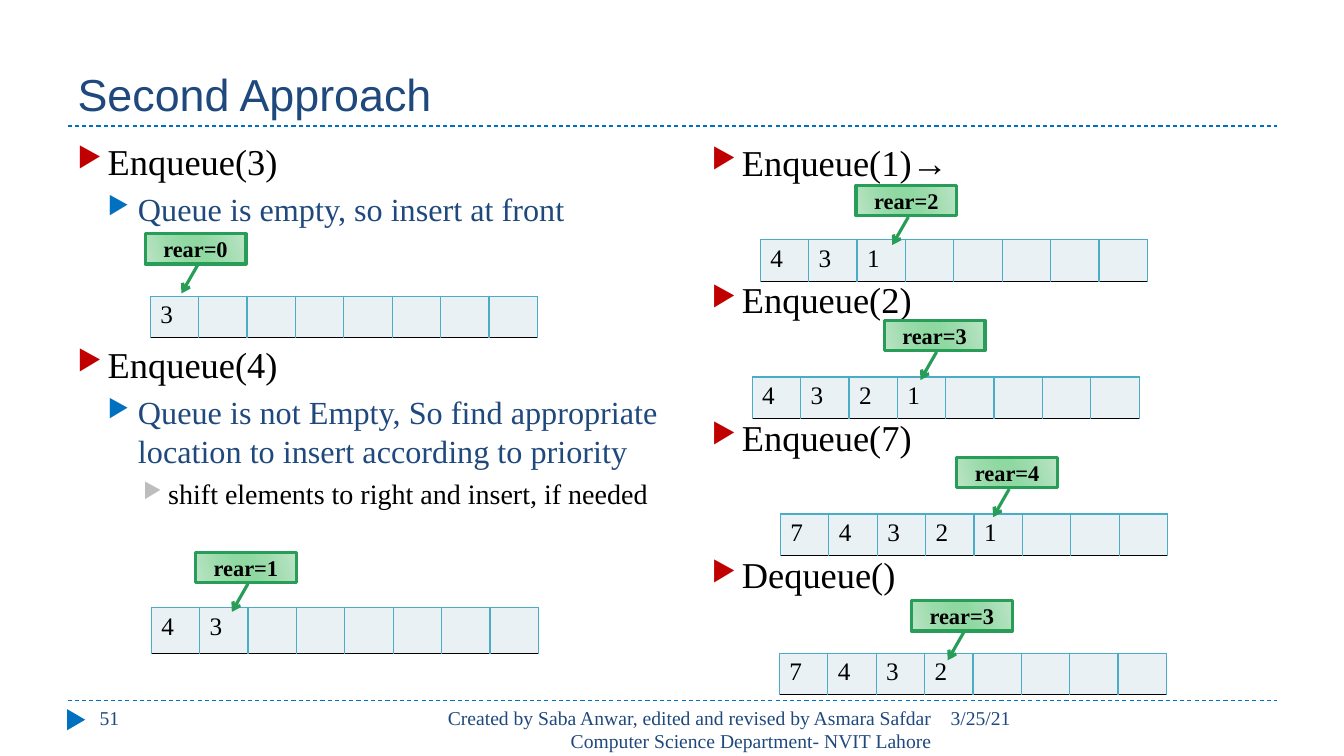
from dataclasses import dataclass

from lxml import etree
from pptx import Presentation
from pptx.dml.color import RGBColor
from pptx.enum.dml import MSO_LINE
from pptx.enum.shapes import MSO_CONNECTOR, MSO_SHAPE
from pptx.enum.text import MSO_ANCHOR, PP_ALIGN
from pptx.oxml import parse_xml
from pptx.oxml.ns import nsdecls, qn
from pptx.util import Pt

PX = 9144  # 100 px to the inch
TITLE_ONLY = 5
CELL_COUNT = 8
CELL_WIDTH = 48


@dataclass(frozen=True)
class Theme:
    heading_font: str = "Arial"
    body_font: str = "Times New Roman"
    navy: str = "1F497D"
    blue: str = "0070C0"
    black: str = "000000"
    cell_fill: str = "E9F1F5"
    cell_line: str = "4BACC6"
    callout_line: str = "279D57"
    callout_stops: tuple = ((0, "BBE4C5"), (30, "9BDBAB"), (45, "8FD8A1"),
                            (55, "8FD8A1"), (73, "9BDBAB"), (100, "BBE4C5"))
    level_sizes: tuple = (26, 23, 20)
    level_colors: tuple = ("000000", "1F497D", "000000")
    bullet_colors: tuple = ("C00000", "0070C0", "BDBDBD")
    level_indents: tuple = ((30, 30), (60, 30), (90, 25))
    title_size: int = 32
    cell_size: int = 18
    callout_size: int = 16
    footer_size: int = 14
    line_height: float = 1.2


THEME = Theme()

# Each outline row: level, space before in points, text
LEFT_OUTLINE = [
    (0, 0, "Enqueue(3)"),
    (1, 5, "Queue is empty, so insert at front"),
    (0, 81, "Enqueue(4)"),
    (1, 5, "Queue is not Empty, So find appropriate location to insert according to priority"),
    (2, 5, "shift elements to right and insert, if needed"),
]
RIGHT_OUTLINE = [
    (0, 0, "Enqueue(1)→"),
    (0, 67, "Enqueue(2)"),
    (0, 67, "Enqueue(7)"),
    (0, 67, "Dequeue()"),
]
# Each queue: offset in its column, row height, values, rear, callout offset from the queue
LEFT_QUEUES = [
    ((82, 161), 41, "3", 0, (-5, -62)),
    ((83, 470), 45, "43", 1, (44, -55)),
]
RIGHT_QUEUES = [
    ((58, 104), 41, "431", 2, (95, -54)),
    ((50, 240), 41, "4321", 3, (131, -56)),
    ((78, 376), 41, "74321", 4, (175, -56)),
    ((77, 514), 41, "7432", 3, (131, -52)),
]


def px(*lengths):
    return [length * PX for length in lengths]


def rgb(color):
    return RGBColor.from_string(color)


def write(paragraph, text, *, size, color=THEME.black, font=THEME.body_font,
          bold=False, align=PP_ALIGN.LEFT, before=0, fixed_line=False):
    paragraph.alignment = align
    paragraph.space_before = Pt(before)
    if fixed_line:
        paragraph.line_spacing = Pt(size * THEME.line_height)
    run = paragraph.add_run()
    run.text = text
    run.font.name = font
    run.font.size = Pt(size)
    run.font.bold = bold
    run.font.color.rgb = rgb(color)


def add_bullet(paragraph, level):
    margin, hanging = px(*THEME.level_indents[level])
    properties = paragraph._p.get_or_add_pPr()
    properties.set("marL", str(margin))
    properties.set("indent", str(-hanging))
    color = etree.SubElement(properties, qn("a:buClr"))
    etree.SubElement(color, qn("a:srgbClr"), val=THEME.bullet_colors[level])
    etree.SubElement(properties, qn("a:buSzPct"), val="76000")
    etree.SubElement(properties, qn("a:buChar"), char="▶")


def text_frame_at(slide, box):
    frame = slide.shapes.add_textbox(*px(*box)).text_frame
    frame.word_wrap = True
    return frame


def add_rule(slide, left, top, width):
    rule = slide.shapes.add_connector(
        MSO_CONNECTOR.STRAIGHT, *px(left, top, left + width, top))
    rule.line.color.rgb = rgb(THEME.blue)
    rule.line.width = Pt(0.75)
    rule.line.dash_style = MSO_LINE.DASH
    etree.SubElement(rule._element.spPr, qn("a:effectLst"))


def add_header(slide, box):
    left, top, width, height = box
    title = slide.shapes.title
    title.left, title.top, title.width, title.height = px(*box)
    title.text_frame.vertical_anchor = MSO_ANCHOR.BOTTOM
    write(title.text_frame.paragraphs[0], "Second Approach", size=THEME.title_size,
          color=THEME.navy, font=THEME.heading_font)
    add_rule(slide, left, top + height, width)


def add_footer(slide, box):
    left, top, width, height = box
    add_rule(slide, left, top, width)
    marker = slide.shapes.add_shape(
        MSO_SHAPE.ISOSCELES_TRIANGLE, *px(left - 2, top + 10, 21, 18))
    marker.rotation = 90
    marker.shadow.inherit = False
    marker.fill.solid()
    marker.fill.fore_color.rgb = rgb(THEME.blue)
    marker.line.fill.background()
    credit = ("Created by Saba Anwar, edited and revised by Asmara Safdar "
              "Computer Science Department- NVIT Lahore")
    for offset, part_width, text, align in (
            (22, 289, "51", PP_ALIGN.LEFT),
            (356, 511, credit, PP_ALIGN.RIGHT),
            (866, 334, "3/25/21", PP_ALIGN.LEFT)):
        frame = text_frame_at(slide, (left + offset, top, part_width, height))
        write(frame.paragraphs[0], text, size=THEME.footer_size, color=THEME.navy,
              align=align, fixed_line=True)


def set_cell_borders(cell):
    properties = cell._tc.get_or_add_tcPr()
    sides = (("lnL", THEME.cell_line), ("lnR", THEME.cell_line),
             ("lnT", THEME.cell_line), ("lnB", THEME.black))
    for index, (side, color) in enumerate(sides):
        properties.insert(index, parse_xml(
            f'<a:{side} {nsdecls("a")} w="12700"><a:solidFill>'
            f'<a:srgbClr val="{color}"/></a:solidFill></a:{side}>'))


def add_cells(slide, left, top, height, values):
    frame = slide.shapes.add_table(
        1, CELL_COUNT, *px(left, top, CELL_COUNT * CELL_WIDTH, height))
    table = frame.table
    table.first_row = table.horz_banding = False
    for index, cell in enumerate(table.rows[0].cells):
        cell.fill.solid()
        cell.fill.fore_color.rgb = rgb(THEME.cell_fill)
        set_cell_borders(cell)
        paragraph = cell.text_frame.paragraphs[0]
        paragraph.font.size = Pt(THEME.cell_size)
        if index < len(values):
            write(paragraph, values[index], size=THEME.cell_size)


def add_rear_callout(slide, left, top, rear):
    callout = slide.shapes.add_shape(MSO_SHAPE.LINE_CALLOUT_1, *px(left, top, 100, 30))
    for index, value in enumerate((1.04, 0.48, 1.97, 0.64)):
        callout.adjustments[index] = value
    callout.shadow.inherit = False
    callout._element.spPr.find(qn("a:xfrm")).set("flipH", "1")
    callout.fill.gradient()
    callout.fill.gradient_angle = 344
    stops = callout._element.spPr.find(qn("a:gradFill")).find(qn("a:gsLst"))
    for stop in list(stops):
        stops.remove(stop)
    for position, color in THEME.callout_stops:
        stop = etree.SubElement(stops, qn("a:gs"), pos=str(position * 1000))
        etree.SubElement(stop, qn("a:srgbClr"), val=color)
    callout.line.color.rgb = rgb(THEME.callout_line)
    callout.line.width = Pt(2.25)
    etree.SubElement(callout._element.spPr.find(qn("a:ln")), qn("a:tailEnd"), type="arrow")
    frame = callout.text_frame
    frame.margin_top = frame.margin_bottom = 0
    frame.vertical_anchor = MSO_ANCHOR.MIDDLE
    write(frame.paragraphs[0], f"rear={rear}", size=THEME.callout_size,
          bold=True, align=PP_ALIGN.CENTER)


def add_column(slide, box, outline, queues):
    """Place the bulleted outline in the box and its queue diagrams over it."""
    left, top = box[:2]
    frame = text_frame_at(slide, box)
    for index, (level, before, text) in enumerate(outline):
        paragraph = frame.add_paragraph() if index else frame.paragraphs[0]
        paragraph.level = level
        write(paragraph, text, size=THEME.level_sizes[level],
              color=THEME.level_colors[level], before=before, fixed_line=True)
        add_bullet(paragraph, level)
    for (x, y), height, values, rear, (callout_x, callout_y) in queues:
        add_cells(slide, left + x, top + y, height, values)
        add_rear_callout(slide, left + x + callout_x, top + y + callout_y, rear)


def main():
    presentation = Presentation()
    presentation.slide_width, presentation.slide_height = px(1333, 750)
    slide = presentation.slides.add_slide(presentation.slide_layouts[TITLE_ONLY])
    add_header(slide, (67, 17, 1200, 108))
    add_column(slide, (67, 133, 599, 540), LEFT_OUTLINE, LEFT_QUEUES)
    add_column(slide, (696, 134, 570, 540), RIGHT_OUTLINE, RIGHT_QUEUES)
    add_footer(slide, (67, 695, 1200, 40))
    presentation.save("out.pptx")


if __name__ == "__main__":
    main()
